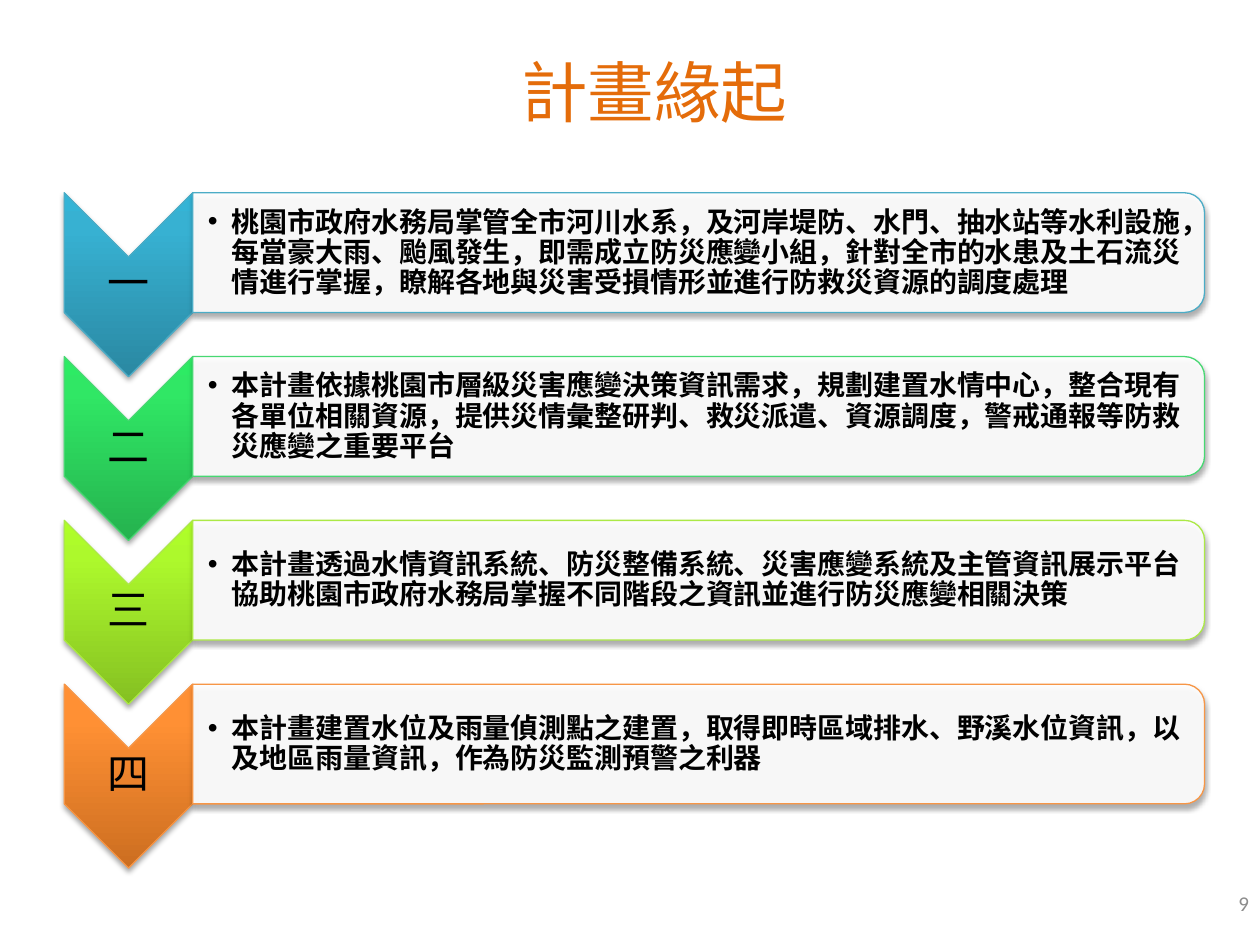
"""Build the slide on why the project began: four numbered reasons."""
from lxml.etree import SubElement
from pptx import Presentation
from pptx.dml.color import RGBColor
from pptx.enum.shapes import MSO_SHAPE
from pptx.enum.text import MSO_ANCHOR, PP_ALIGN
from pptx.oxml import parse_xml
from pptx.oxml.ns import nsdecls, qn
from pptx.util import Inches, Pt

SANS = "Noto Sans CJK SC"
TITLE = "計畫緣起"
REASONS = [
    ("一", "桃園市政府水務局掌管全市河川水系，及河岸堤防、水門、抽水站等水利設施，每當豪大雨、颱風發生，即需成立防災應變小組，針對全市的水患及土石流災情進行掌握，瞭解各地與災害受損情形並進行防救災資源的調度處理"),
    ("二", "本計畫依據桃園市層級災害應變決策資訊需求，規劃建置水情中心，整合現有各單位相關資源，提供災情彙整研判、救災派遣、資源調度，警戒通報等防救災應變之重要平台"),
    ("三", "本計畫透過水情資訊系統、防災整備系統、災害應變系統及主管資訊展示平台協助桃園市政府水務局掌握不同階段之資訊並進行防災應變相關決策"),
    ("四", "本計畫建置水位及雨量偵測點之建置，取得即時區域排水、野溪水位資訊，以及地區雨量資訊，作為防災監測預警之利器"),
]
EDGES = [RGBColor(0x4B, 0xAC, 0xC6), RGBColor(0x47, 0xD8, 0x72),
         RGBColor(0xAC, 0xE9, 0x46), RGBColor(0xF7, 0x96, 0x46)]
SHADES = [("2A88A2", "37B1D2", "34B4D6"), ("25B24E", "30E765", "2DEB64"),
          ("85C022", "ADF92C", "AFFE28"), ("CC6E20", "FF9034", "FF9136")]
ORANGE = RGBColor(0xE4, 0x6C, 0x0A)
GRAY = RGBColor(0x8C, 0x8C, 0x8C)
BLACK = RGBColor(0, 0, 0)
WHITE = RGBColor(255, 255, 255)

LEFT, TOP, PITCH = 0.51, 1.53, 1.30
TAG_W, TAG_H = 1.02, 1.46
PANEL_W, PANEL_H = 8.03, 0.95


def add_turned(slide, kind, left, top, width, height, edge):
    """Add a shape turned a quarter that fills the given upright frame."""
    x, y = left + (width - height) / 2, top + (height - width) / 2
    shape = slide.shapes.add_shape(
        kind, Inches(x), Inches(y), Inches(height), Inches(width))
    shape.rotation = 90
    shape.fill.solid()
    shape.fill.fore_color.rgb = WHITE
    shape.line.color.rgb = edge
    shape.line.width = Pt(0.75)
    shape.shadow.inherit = False
    glow = shape._element.spPr.find(qn("a:effectLst"))
    glow.append(parse_xml(
        f'<a:outerShdw {nsdecls("a")} blurRad="{Pt(3.1)}" dist="{Pt(1.8)}" '
        'dir="5400000" rotWithShape="0"><a:srgbClr val="000000">'
        '<a:alpha val="35000"/></a:srgbClr></a:outerShdw>'))
    return shape


def shade(shape, colors):
    """Swap the solid fill for a gradient that runs upward."""
    stops = "".join(
        f'<a:gs pos="{pos * 1000}"><a:srgbClr val="{color}"/></a:gs>'
        for pos, color in zip((0, 80, 100), colors))
    props = shape._element.spPr
    props.replace(props.find(qn("a:solidFill")), parse_xml(
        f'<a:gradFill {nsdecls("a")} rotWithShape="0"><a:gsLst>{stops}</a:gsLst>'
        '<a:lin ang="16200000" scaled="0"/></a:gradFill>'))


def add_text(slide, text, frame, size, color=BLACK, font=SANS, bold=False,
             insets=(0.1, 0.05, 0.1, 0.05), spacing=1.0, bullet=False):
    """Add a one-paragraph text box, centred unless bulleted."""
    box = slide.shapes.add_textbox(*map(Inches, frame)).text_frame
    box.word_wrap = True
    box.vertical_anchor = MSO_ANCHOR.MIDDLE
    (box.margin_left, box.margin_top,
     box.margin_right, box.margin_bottom) = map(Inches, insets)
    box.text = text
    para = box.paragraphs[0]
    if bullet:
        props = para._p.get_or_add_pPr()
        props.set("marL", str(Inches(0.19)))
        props.set("indent", str(Inches(-0.19)))
        SubElement(props, qn("a:buFont")).set("typeface", "Arial")
        SubElement(props, qn("a:buChar")).set("char", "•")
    para.alignment = PP_ALIGN.LEFT if bullet else PP_ALIGN.CENTER
    para.line_spacing = spacing
    run = para.runs[0]
    run.font.name, run.font.size, run.font.bold = font, Pt(size), bold
    run.font.color.rgb = color
    SubElement(run._r.get_or_add_rPr(), qn("a:ea")).set("typeface", font)


def main():
    """Lay out the title, the rows and the page number."""
    deck = Presentation()
    deck.slide_width, deck.slide_height = Inches(10), Inches(7.5)
    slide = deck.slides.add_slide(deck.slide_layouts[6])
    add_text(slide, TITLE, (LEFT, 0.29, 9.37, 0.87), 38, ORANGE)
    add_text(slide, "9", (9.65, 6.97, 0.44, 0.4), 12, GRAY, "Calibri")
    right = LEFT + TAG_W
    for row, ((mark, text), edge, colors) in enumerate(zip(REASONS, EDGES, SHADES)):
        top = TOP + row * PITCH
        tag = add_turned(slide, MSO_SHAPE.CHEVRON, LEFT, top, TAG_W, TAG_H, edge)
        shade(tag, colors)
        add_text(slide, mark, (LEFT, top + TAG_W / 2, TAG_W, TAG_H - TAG_W), 24,
                 insets=(0.02,) * 4, spacing=0.9)
        panel = add_turned(slide, MSO_SHAPE.ROUND_2_SAME_RECTANGLE,
                           right, top, PANEL_W, PANEL_H, edge)
        tint = panel._element.spPr.find(qn("a:solidFill"))[0]
        SubElement(tint, qn("a:alpha")).set("val", "90000")
        add_text(slide, text, (right, top + 0.05, PANEL_W - 0.04, PANEL_H - 0.09),
                 16, bold=True, insets=(0.12, 0.01, 0.01, 0.01),
                 spacing=0.9, bullet=True)
    deck.save("out.pptx")


if __name__ == "__main__":
    main()
